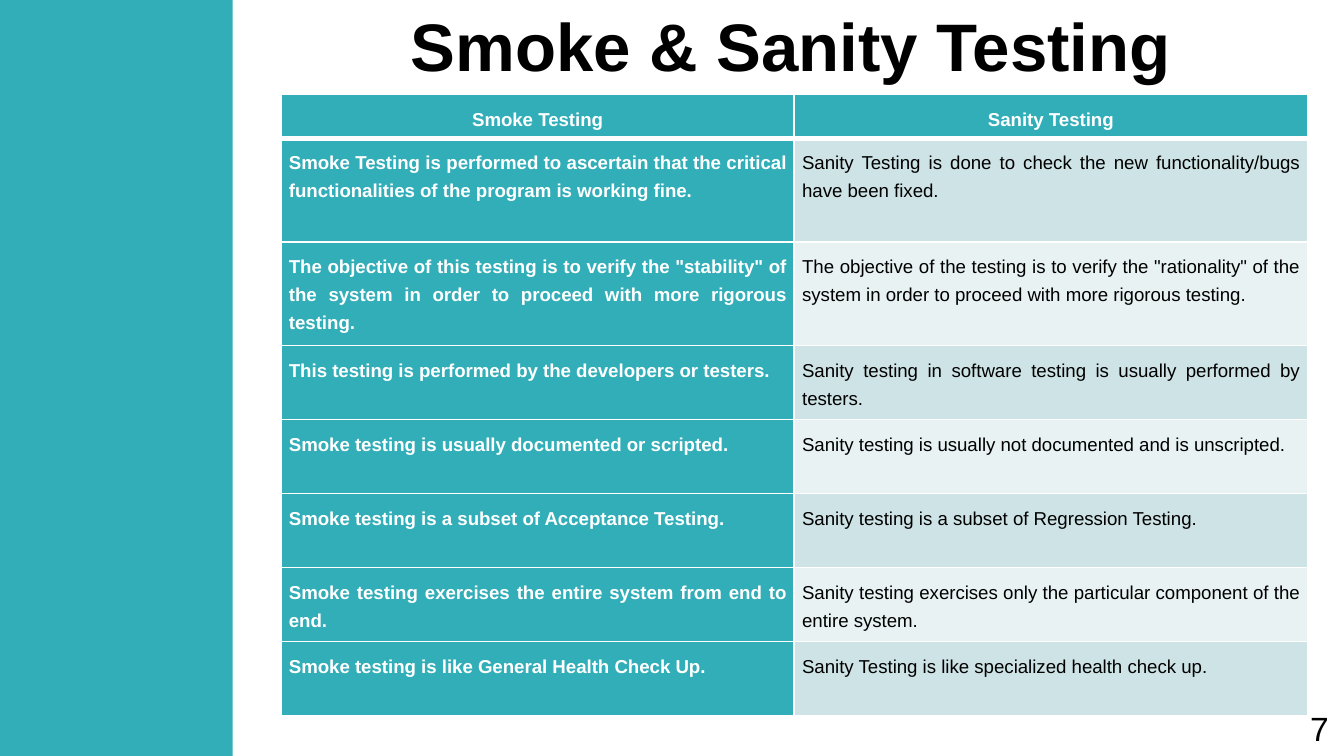
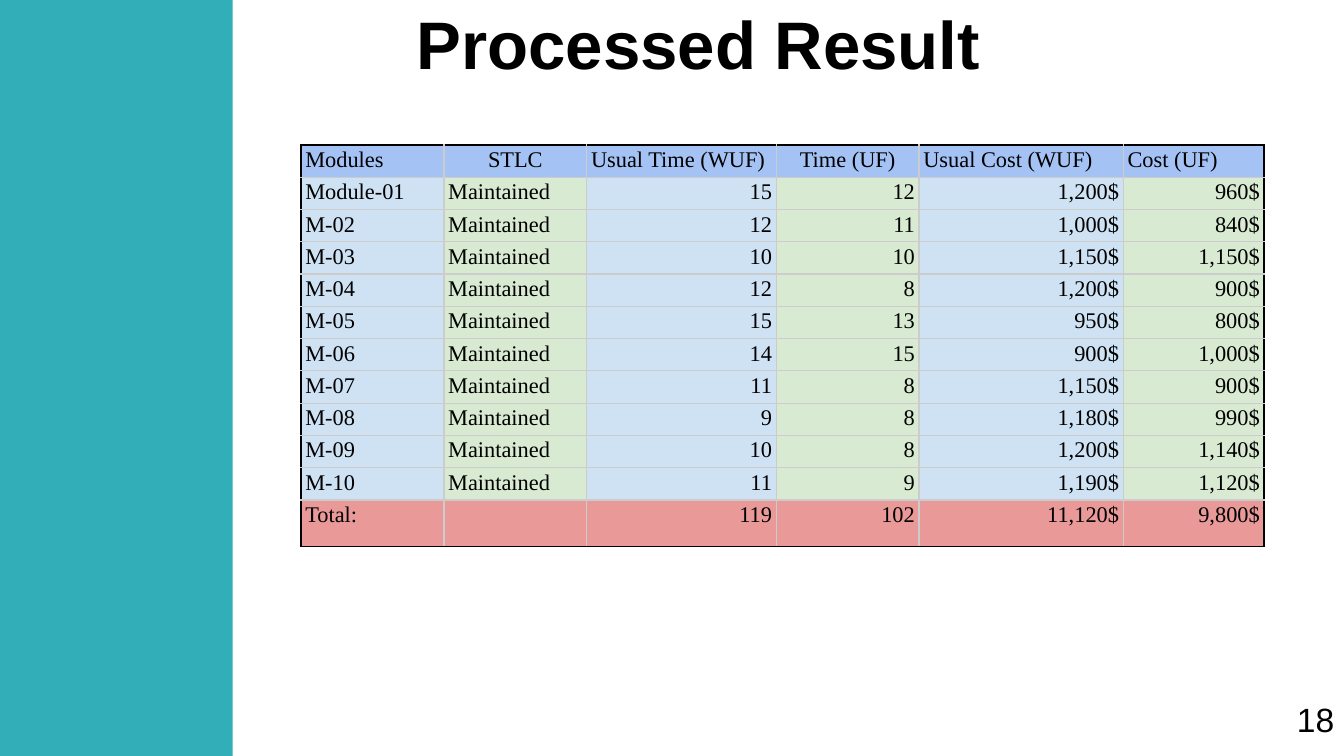
from lxml import etree
from pptx import Presentation
from pptx.dml.color import RGBColor
from pptx.enum.shapes import MSO_SHAPE
from pptx.enum.text import MSO_ANCHOR, MSO_AUTO_SIZE, PP_ALIGN
from pptx.oxml.ns import qn
from pptx.util import Cm, Pt

RECTANGLE = MSO_SHAPE.RECTANGLE
MIDDLE = MSO_ANCHOR.MIDDLE
GROW = MSO_AUTO_SIZE.SHAPE_TO_FIT_TEXT
LEFT, CENTER, RIGHT, JUSTIFY = (
    PP_ALIGN.LEFT, PP_ALIGN.CENTER, PP_ALIGN.RIGHT, PP_ALIGN.JUSTIFY)

TEAL, WHITE, BLACK, GREY = "32AEB8", "FFFFFF", "000000", "CCCCCC"
MIST, PALE_MIST = "CEE3E6", "E8F2F3"
HEADER_BLUE, PALE_BLUE, PALE_GREEN, TOTAL_RED = "A4C2F4", "CFE2F3", "D9EAD3", "EA9999"

TITLE_FONT = {"name": "Arial", "size": Pt(36), "bold": True}
NUMBER_FONT = {"name": "Arial", "size": Pt(18), "bold": False}
RESULT_FONT = {"name": "Times New Roman", "size": Pt(12), "bold": False}
COMPARISON_SPACING = {"line_spacing": Pt(15), "space_after": Pt(15)}

rgb = RGBColor.from_string


def write(frame, text, font, color=BLACK, align=LEFT, spacing={}):
    paragraph = frame.paragraphs[0]
    paragraph.alignment = align
    for name, value in spacing.items():
        setattr(paragraph, name, value)
    if text:
        run = paragraph.add_run()
        run.text = text
        run.font.color.rgb = rgb(color)
        for name, value in font.items():
            setattr(run.font, name, value)


def paint_cell(cell, fill, borders, margin_x, margin_y):
    """Set margins, fill and borders; borders maps L, R, T, B to (colour, points)."""
    cell.margin_left = cell.margin_right = Cm(margin_x)
    cell.margin_top = cell.margin_bottom = Cm(margin_y)
    properties = cell._tc.get_or_add_tcPr()
    for side in "LRTB":
        color, points = borders[side]
        line = etree.SubElement(properties, qn(f"a:ln{side}"), w=str(Pt(points)))
        solid = etree.SubElement(line, qn("a:solidFill"))
        etree.SubElement(solid, qn("a:srgbClr"), val=color)
    cell.fill.solid()
    cell.fill.fore_color.rgb = rgb(fill)


prs = Presentation()
prs.slide_width, prs.slide_height = Cm(25.4), Cm(14.29)

# Each slide: title, title box, title fill, page number, number box,
# table position, column widths, row heights
pages = [
    ("Smoke & Sanity Testing", (4.5, -0.05, 20.9, 1.8), WHITE,
     "7", (24.51, 13.26, 0.86, 1.02),
     (5.31, 1.78), [9.7] * 2, [0.83] + [1.96] * 2 + [1.4] * 5),
    ("Processed Result", (0.5, 0, 25.4, 1.6), None,
     "18", (24.26, 13.08, 1.22, 1.02),
     (5.69, 2.74), [2.7, 2.7, 3.58, 2.7, 3.86, 2.66], [0.61] * 11 + [0.88]),
]

tables = []
for (title, title_box, title_fill, number, number_box,
     position, widths, heights) in pages:
    slide = prs.slides.add_slide(prs.slide_layouts[6])

    band = slide.shapes.add_shape(RECTANGLE, 0, 0, Cm(4.4), prs.slide_height)
    band.shadow.inherit = False
    band.fill.solid()
    band.fill.fore_color.rgb = rgb(TEAL)
    band.line.fill.background()

    heading = slide.shapes.add_textbox(*map(Cm, title_box))
    if title_fill:
        heading.fill.solid()
        heading.fill.fore_color.rgb = rgb(title_fill)
    heading.text_frame.word_wrap = True
    heading.text_frame.vertical_anchor = MIDDLE
    write(heading.text_frame, title, TITLE_FONT, align=CENTER)

    table = slide.shapes.add_table(
        len(heights), len(widths), *map(Cm, position),
        Cm(sum(widths)), Cm(sum(heights))).table
    table.first_row = table.horz_banding = False
    for column, width in zip(table.columns, widths):
        column.width = Cm(width)
    for row, height in zip(table.rows, heights):
        row.height = Cm(height)
    tables.append(table)

    page_number = slide.shapes.add_textbox(*map(Cm, number_box))
    page_number.text_frame.word_wrap = False
    page_number.text_frame.auto_size = GROW
    write(page_number.text_frame, number, NUMBER_FONT)

comparison_table, result_table = tables

# Smoke and sanity testing side by side
comparison = [
    ("Smoke Testing", "Sanity Testing"),
    ("Smoke Testing is performed to ascertain that the critical functionalities "
     "of the program is working fine.",
     "Sanity Testing is done to check the new functionality/bugs have been fixed."),
    ('The objective of this testing is to verify the "stability" of the system '
     "in order to proceed with more rigorous testing.",
     'The objective of the testing is to verify the "rationality" of the system '
     "in order to proceed with more rigorous testing."),
    ("This testing is performed by the developers or testers.",
     "Sanity testing in software testing is usually performed by testers."),
    ("Smoke testing is usually documented or scripted.",
     "Sanity testing is usually not documented and is unscripted."),
    ("Smoke testing is a subset of Acceptance Testing.",
     "Sanity testing is a subset of Regression Testing."),
    ("Smoke testing exercises the entire system from end to end.",
     "Sanity testing exercises only the particular component of the entire system."),
    ("Smoke testing is like General Health Check Up.",
     "Sanity Testing is like specialized health check up."),
]
for r, statements in enumerate(comparison):
    for c, statement in enumerate(statements):
        cell = comparison_table.cell(r, c)
        strong = r == 0 or c == 0
        borders = dict.fromkeys("LRTB", (WHITE, 1))
        if r < 2:
            borders["B" if r == 0 else "T"] = (WHITE, 3)
        fill = TEAL if strong else MIST if r % 2 else PALE_MIST
        paint_cell(cell, fill, borders, 0.15, 0.15)
        write(cell.text_frame, statement,
              {"name": "Arial", "size": Pt(10), "bold": strong},
              WHITE if strong else BLACK, JUSTIFY if r else CENTER,
              COMPARISON_SPACING)

# Time and cost per module
measurements = [
    ("Module-01", "15", "12", "1,200$", "960$"),
    ("M-02", "12", "11", "1,000$", "840$"),
    ("M-03", "10", "10", "1,150$", "1,150$"),
    ("M-04", "12", "8", "1,200$", "900$"),
    ("M-05", "15", "13", "950$", "800$"),
    ("M-06", "14", "15", "900$", "1,000$"),
    ("M-07", "11", "8", "1,150$", "900$"),
    ("M-08", "9", "8", "1,180$", "990$"),
    ("M-09", "10", "8", "1,200$", "1,140$"),
    ("M-10", "11", "9", "1,190$", "1,120$"),
]
results = [
    ("Modules", "STLC", "Usual Time (WUF)", "Time (UF)", "Usual Cost (WUF)", "Cost (UF)"),
    *((module, "Maintained", *values) for module, *values in measurements),
    ("Total:", "", "119", "102", "11,120$", "9,800$"),
]
last_row, last_column = len(results) - 1, len(results[0]) - 1
for r, values in enumerate(results):
    for c, value in enumerate(values):
        cell = result_table.cell(r, c)
        outer = {"L": c == 0, "R": c == last_column, "T": r == 0, "B": r == last_row}
        borders = {side: (BLACK if edge else GREY, 0.75) for side, edge in outer.items()}
        if r == 0:
            fill = HEADER_BLUE
            align = CENTER if c in (1, 3) else LEFT
        else:
            fill = TOTAL_RED if r == last_row else PALE_GREEN if c % 2 else PALE_BLUE
            align = RIGHT if c > 1 else LEFT
        paint_cell(cell, fill, borders, 0.08, 0.05)
        write(cell.text_frame, value, RESULT_FONT, align=align)

prs.save("out.pptx")
